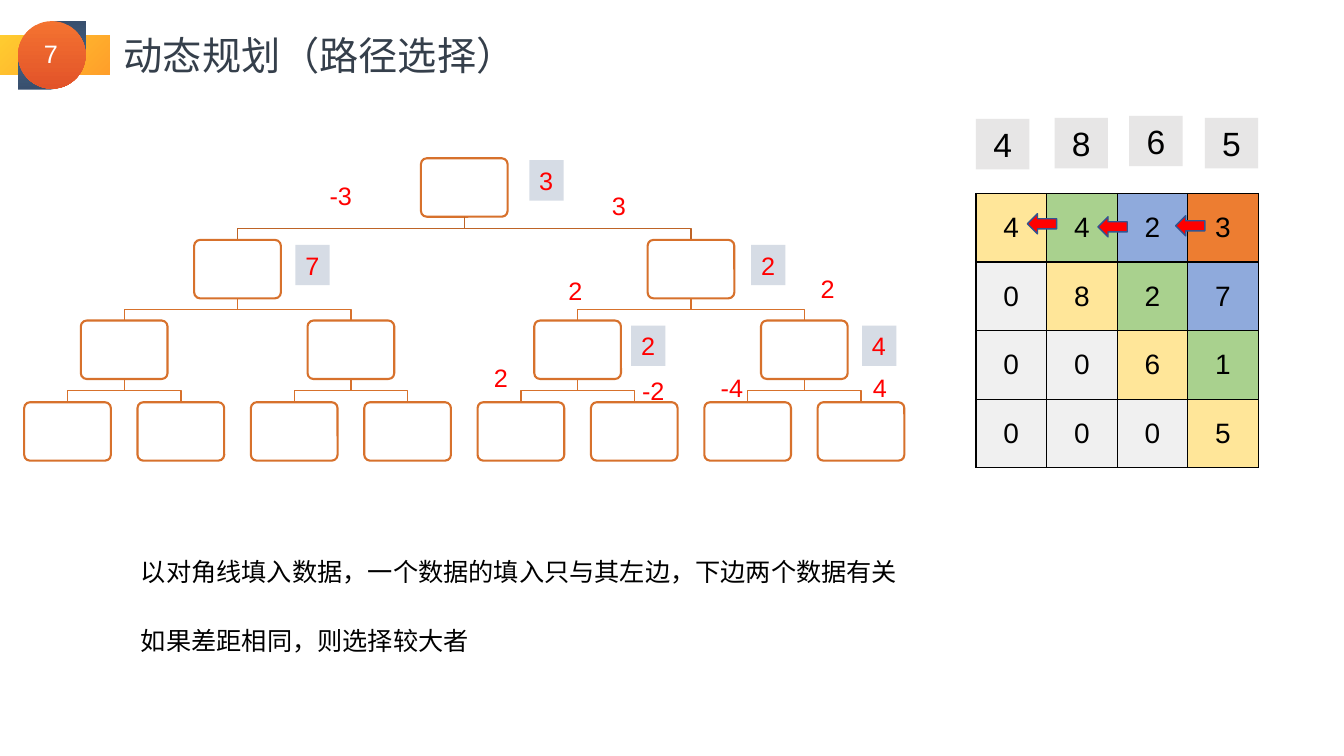
from dataclasses import dataclass
from typing import Optional

from lxml.etree import SubElement
from pptx import Presentation
from pptx.dml.color import RGBColor
from pptx.enum.shapes import MSO_SHAPE as Preset
from pptx.enum.text import MSO_ANCHOR as Anchor
from pptx.enum.text import MSO_AUTO_SIZE as AutoSize
from pptx.enum.text import PP_ALIGN as Align
from pptx.oxml.ns import qn
from pptx.util import Inches, Pt

LATIN, CHINESE = "Arial", "Noto Sans CJK SC"
ORANGE, RED, BLACK, WHITE = "D7712C", "FF0000", "000000", "FFFFFF"
TAG_FILL = "D6DCE5"

# Tree geometry
LEVEL_TOPS = (1.57, 2.38, 3.18, 3.99)
NODE_WIDTH, NODE_HEIGHT = 0.86, 0.58
FIRST_LEAF, LAST_LEAF = 0.67, 8.54

# Table: diagonals from the main one upwards, grey below
DIAGONAL_FILLS = ("FFE699", "A9D18E", "8FAADC", "ED7D31")
LOWER_FILL = "F0F0F0"
SCORES = ((4, 4, 2, 3), (0, 8, 2, 7), (0, 0, 6, 1), (0, 0, 0, 5))


@dataclass
class Label:
    text: str
    left: float
    top: float
    width: float = 0.34
    height: float = 0.4
    fill: Optional[str] = None
    size: int = 18
    color: str = RED
    font: str = LATIN
    align: Align = Align.LEFT


@dataclass
class Badge:
    preset: Preset
    left: float
    top: float
    width: float
    height: float
    start: str
    end: str
    angle: int = 270
    rotation: int = 0


BADGES = (
    Badge(Preset.RECTANGLE, 0, 0.35, 1.09, 0.39, "FFCC30", "FF9F2A", angle=315),
    Badge(Preset.TEAR, 0.28, 0.21, 0.58, 0.58, "384F6E", "4A6C90"),
    Badge(Preset.TEAR, 0.18, 0.31, 0.58, 0.58, "384F6E", "4A6C90", rotation=180),
    Badge(Preset.OVAL, 0.18, 0.21, 0.67, 0.67, "F47331", "E25329"),
)
HEADING = (
    Label("7", 0.25, 0.33, 0.51, color=WHITE, align=Align.CENTER),
    Label("动态规划（路径选择）", 1.13, 0.26, 4.13, 0.57, size=28, color="353F4B", font=CHINESE),
)
PILES = tuple(
    Label(text, left, top, 0.53, 0.5, "E7E6E6", 24, BLACK, align=Align.CENTER)
    for text, left, top in (
        ("4", 9.68, 1.18), ("8", 10.46, 1.17), ("6", 11.2, 1.15), ("5", 11.95, 1.17))
)
NODE_TAGS = (
    Label("2", 7.45, 2.43, fill=TAG_FILL),
    Label("2", 6.26, 3.23, fill=TAG_FILL),
    Label("4", 8.55, 3.23, fill=TAG_FILL),
    Label("7", 2.93, 2.43, fill=TAG_FILL),
    Label("3", 5.25, 1.59, fill=TAG_FILL),
)
EDGE_TAGS = (
    Label("2", 5.54, 2.68),
    Label("2", 8.04, 2.66),
    Label("-3", 3.17, 1.74, 0.43),
    Label("3", 5.97, 1.84),
    Label("2", 4.8, 3.55),
    Label("-2", 6.27, 3.67, 0.43),
    Label("-4", 7.05, 3.64, 0.43),
    Label("4", 8.56, 3.64),
)
NOTES = (
    Label("以对角线填入数据，一个数据的填入只与其左边，下边两个数据有关", 1.3, 5.47, 7.86, color=BLACK),
    Label("如果差距相同，则选择较大者", 1.3, 6.15, 3.48, color=BLACK),
)
ARROWS = ((11.66, 2.14), (10.89, 2.15), (10.19, 2.12))


def rgb(value: str) -> RGBColor:
    return RGBColor.from_string(value)


def write(para, text: str, *, size: int, color: str, font: str = LATIN,
          align: Align = Align.LEFT) -> None:
    para.alignment = align
    span = para.add_run()
    span.text = text
    span.font.size = Pt(size)
    span.font.color.rgb = rgb(color)
    span.font.name = font
    SubElement(span.font._element, qn("a:ea"), typeface=CHINESE)


def add_label(page, label: Label) -> None:
    box = page.shapes.add_textbox(
        Inches(label.left), Inches(label.top), Inches(label.width), Inches(label.height))
    if label.fill:
        box.fill.solid()
        box.fill.fore_color.rgb = rgb(label.fill)
    frame = box.text_frame
    frame.word_wrap = False
    frame.auto_size = AutoSize.SHAPE_TO_FIT_TEXT
    write(frame.paragraphs[0], label.text, size=label.size, color=label.color,
          font=label.font, align=label.align)


def add_preset(page, preset: Preset, left: float, top: float, width: float, height: float):
    shape = page.shapes.add_shape(
        preset, Inches(left), Inches(top), Inches(width), Inches(height))
    shape.shadow.inherit = False
    return shape


def add_badge(page, badge: Badge) -> None:
    shape = add_preset(page, badge.preset, badge.left, badge.top, badge.width, badge.height)
    shape.rotation = badge.rotation
    shape.line.fill.background()
    shape.fill.gradient()
    shape.fill.gradient_angle = badge.angle
    for stop, color, position in zip(shape.fill.gradient_stops, (badge.start, badge.end), (0, 1)):
        stop.color.rgb = rgb(color)
        stop.position = position


def add_outlined(page, preset: Preset, left: float, top: float, width: float, height: float,
                 *, fill: str, line: str, weight: float):
    shape = add_preset(page, preset, left, top, width, height)
    shape.fill.solid()
    shape.fill.fore_color.rgb = rgb(fill)
    shape.line.color.rgb = rgb(line)
    shape.line.width = Pt(weight)
    return shape


def add_branch(page, parent: float, child: float, level: int) -> None:
    start, end = LEVEL_TOPS[level] + NODE_HEIGHT, LEVEL_TOPS[level + 1]
    middle = (start + end) / 2
    builder = page.shapes.build_freeform(Inches(parent), Inches(start))
    corners = ((parent, middle), (child, middle), (child, end))
    builder.add_line_segments([(Inches(x), Inches(y)) for x, y in corners], close=False)
    branch = builder.convert_to_shape()
    branch.shadow.inherit = False
    branch.fill.background()
    branch.line.color.rgb = rgb(ORANGE if level else "BE6427")
    branch.line.width = Pt(1)


def add_tree(page, first: float, last: float, level: int = 0) -> None:
    """Draw the subtree whose leaf centres run from first to last."""
    center = (first + last) / 2
    node = add_outlined(page, Preset.ROUNDED_RECTANGLE, center - NODE_WIDTH / 2,
                        LEVEL_TOPS[level], NODE_WIDTH, NODE_HEIGHT,
                        fill=WHITE, line=ORANGE, weight=1.5)
    node.adjustments[0] = 0.1
    if level == len(LEVEL_TOPS) - 1:
        return
    gap = (LAST_LEAF - FIRST_LEAF) / (2 ** (len(LEVEL_TOPS) - 1) - 1)
    for low, high in ((first, center - gap / 2), (center + gap / 2, last)):
        add_branch(page, center, (low + high) / 2, level)
        add_tree(page, low, high, level + 1)


def add_borders(cell) -> None:
    properties = cell._tc.get_or_add_tcPr()
    for index, side in enumerate(("lnL", "lnR", "lnT", "lnB")):
        border = properties.makeelement(qn(f"a:{side}"), {"w": str(Pt(1))})
        SubElement(SubElement(border, qn("a:solidFill")), qn("a:srgbClr"), val=BLACK)
        properties.insert(index, border)


def add_scores(page) -> None:
    count = len(SCORES)
    table = page.shapes.add_table(
        count, count, Inches(9.68), Inches(1.92), Inches(2.8), Inches(2.72)).table
    for row, scores in enumerate(SCORES):
        for column, score in enumerate(scores):
            cell = table.cell(row, column)
            cell.vertical_anchor = Anchor.MIDDLE
            cell.fill.solid()
            cell.fill.fore_color.rgb = rgb(
                DIAGONAL_FILLS[column - row] if column >= row else LOWER_FILL)
            add_borders(cell)
            write(cell.text_frame.paragraphs[0], str(score), size=20, color=BLACK,
                  align=Align.CENTER)


def main() -> None:
    deck = Presentation()
    deck.slide_width, deck.slide_height = Inches(13.33), Inches(7.5)
    page = deck.slides.add_slide(deck.slide_layouts[6])
    # Heading
    for badge in BADGES:
        add_badge(page, badge)
    for label in HEADING:
        add_label(page, label)
    # Score table with its path
    add_scores(page)
    for left, top in ARROWS:
        arrow = add_outlined(page, Preset.RIGHT_ARROW, left, top, 0.29, 0.2,
                             fill=RED, line="325491", weight=1)
        arrow.rotation = 180
    # Decision tree, then all labels
    add_tree(page, FIRST_LEAF, LAST_LEAF)
    for label in PILES + NODE_TAGS + EDGE_TAGS + NOTES:
        add_label(page, label)
    deck.save("out.pptx")


if __name__ == "__main__":
    main()
